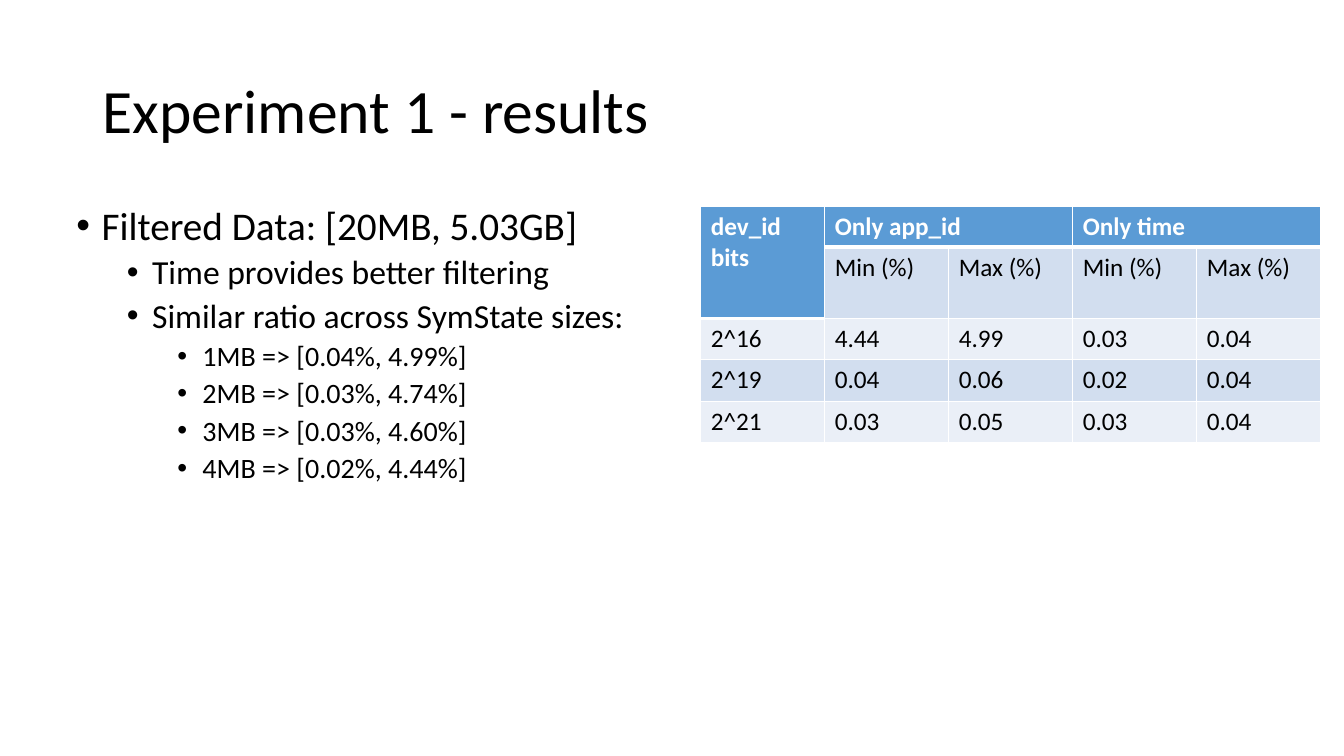
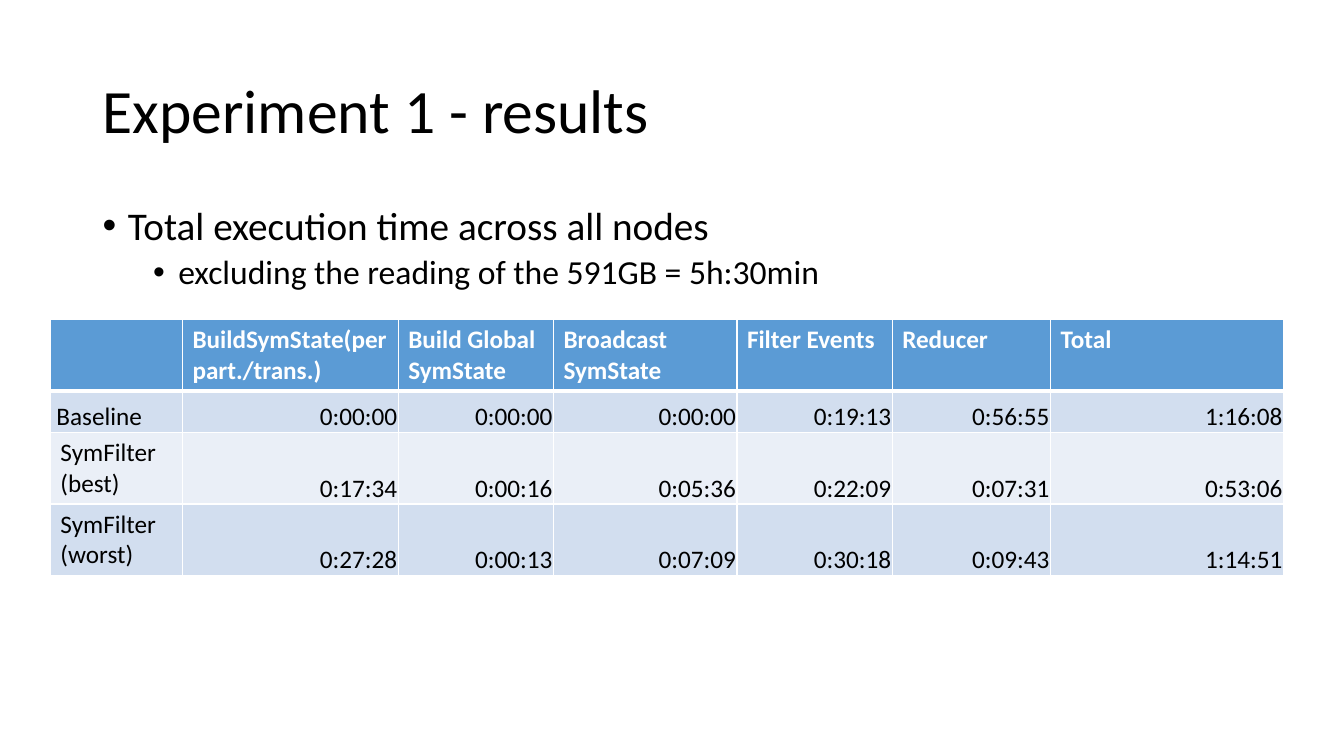
from lxml import etree
from pptx import Presentation
from pptx.dml.color import RGBColor
from pptx.enum.text import MSO_ANCHOR, PP_ALIGN
from pptx.oxml.ns import qn
from pptx.util import Inches, Pt

MIDDLE, BOTTOM = MSO_ANCHOR.MIDDLE, MSO_ANCHOR.BOTTOM
RIGHT = PP_ALIGN.RIGHT

FONT = "Calibri"
COLORS = {"text": "000000", "white": "FFFFFF", "head": "5B9BD5",
          "dark": "D2DEEF", "light": "EAEFF7"}
SIZES = (28, 24, 20)  # points, by bullet level
TITLE_BOX = (0.92, 0.4, 11.5, 1.45)
TITLE = "Experiment 1 - results"

# None marks a cell that a merged header covers.
SLIDES = [
    {
        "body_box": (0.66, 2, 5.89, 4.61),
        "body": [
            (0, "Filtered Data: [20MB, 5.03GB]"),
            (1, "Time provides better filtering"),
            (1, "Similar ratio across SymState sizes:"),
            (2, "1MB => [0.04%, 4.99%]"),
            (2, "2MB => [0.03%, 4.74%]"),
            (2, "3MB => [0.03%, 4.60%]"),
            (2, "4MB => [0.02%, 4.44%]"),
        ],
        "table_at": (6.95, 2.05),
        "cols": [1.23] * 5,
        "rows": [0.4, 0.71, 0.41, 0.41, 0.41],
        "cells": [
            ("dev_id bits", "Only app_id", None, "Only time", None),
            (None, "Min (%)", "Max (%)", "Min (%)", "Max (%)"),
            ("2^16", "4.44", "4.99", "0.03", "0.04"),
            ("2^19", "0.04", "0.06", "0.02", "0.04"),
            ("2^21", "0.03", "0.05", "0.03", "0.04"),
        ],
        "spans": [((0, 0), (1, 0)), ((0, 1), (0, 2)), ((0, 3), (0, 4))],
        "times": False,
    },
    {
        "body_box": (0.92, 2, 11.5, 1.1),
        "body": [
            (0, "Total execution time across all nodes"),
            (1, "excluding the reading of the 591GB = 5h:30min"),
        ],
        "table_at": (0.5, 3.17),
        "cols": [1.31, 2.14, 1.54, 1.82, 1.54, 1.57, 2.31],
        "rows": [0.71, 0.41, 0.71, 0.71],
        "cells": [
            ("", "BuildSymState(per part./trans.)", "Build Global SymState",
             "Broadcast SymState", "Filter Events", "Reducer", "Total"),
            ("Baseline", "0:00:00", "0:00:00", "0:00:00", "0:19:13",
             "0:56:55", "1:16:08"),
            ("SymFilter (best)", "0:17:34", "0:00:16", "0:05:36", "0:22:09",
             "0:07:31", "0:53:06"),
            ("SymFilter (worst)", "0:27:28", "0:00:13", "0:07:09", "0:30:18",
             "0:09:43", "1:14:51"),
        ],
        "spans": [],
        "times": True,
    },
]


def style(para, size, color="text", bold=False):
    """Format every run of a paragraph."""
    for run in para.runs:
        font = run.font
        font.name, font.size, font.bold = FONT, Pt(size), bold
        font.color.rgb = RGBColor.from_string(COLORS[color])


def add_box(slide, box):
    """Add a wrapping text box and return its text frame."""
    frame = slide.shapes.add_textbox(*map(Inches, box)).text_frame
    frame.word_wrap = True
    return frame


def add_title(slide):
    """Add the shared title."""
    frame = add_box(slide, TITLE_BOX)
    frame.vertical_anchor = MIDDLE
    frame.text = TITLE
    para = frame.paragraphs[0]
    para.line_spacing = 0.9
    style(para, 44)


def add_body(slide, box, items):
    """Add bullets indented by level."""
    frame = add_box(slide, box)
    frame.text = "\n".join(text for _, text in items)
    for para, (level, _) in zip(frame.paragraphs, items):
        para.level = level
        para.line_spacing = 0.9
        para.space_before = Pt(5 if level else 10)
        props = para._p.get_or_add_pPr()
        props.set("marL", str(Inches(0.25 + 0.5 * level)))
        props.set("indent", str(Inches(-0.25)))
        etree.SubElement(props, qn("a:buFont"), typeface="Arial")
        etree.SubElement(props, qn("a:buChar"), char="\u2022")
        style(para, SIZES[level])


def set_edges(cell, edges):
    """Draw white cell edges; edges maps a side to its width in points."""
    props = cell._tc.get_or_add_tcPr()
    for spot, side in enumerate(s for s in "LRTB" if s in edges):
        line = etree.Element(qn("a:ln" + side), w=str(Pt(edges[side])))
        fill = etree.SubElement(line, qn("a:solidFill"))
        etree.SubElement(fill, qn("a:srgbClr"), val=COLORS["white"])
        props.insert(spot, line)


def fill_cell(cell, text, row, col, times):
    """Set the text, fill and edges of one cell."""
    head = row == 0 or text is None
    band = "head" if head else "dark" if row % 2 else "light"
    cell.fill.solid()
    cell.fill.fore_color.rgb = RGBColor.from_string(COLORS[band])
    edges = {"R": 1, "B": 3 if head else 1}
    if row == 0:
        edges["T"] = 1
    if col == 0:
        edges["L"] = 1
    set_edges(cell, edges)
    if not text:
        return
    cell.text = text
    para = cell.text_frame.paragraphs[0]
    style(para, 18, "white" if head else "text", head)
    if times and row and (col or row == 1):
        cell.vertical_anchor = BOTTOM
        cell.margin_left = Inches(0.01 if col else 0.06)
        cell.margin_right = cell.margin_top = Inches(0.01)
        cell.margin_bottom = 0
        if col:
            para.alignment = RIGHT


def add_grid(slide, data):
    """Add the result table with its merged headers."""
    cols, rows = data["cols"], data["rows"]
    box = (*data["table_at"], sum(cols), sum(rows))
    table = slide.shapes.add_table(
        len(rows), len(cols), *map(Inches, box)).table
    for col, width in zip(table.columns, cols):
        col.width = Inches(width)
    for row, height in zip(table.rows, rows):
        row.height = Inches(height)
    for r, line in enumerate(data["cells"]):
        for c, text in enumerate(line):
            fill_cell(table.cell(r, c), text, r, c, data["times"])
    for first, last in data["spans"]:
        table.cell(*first).merge(table.cell(*last))


def main():
    """Build and save the slides."""
    deck = Presentation()
    deck.slide_width, deck.slide_height = Inches(13.33), Inches(7.5)
    for data in SLIDES:
        slide = deck.slides.add_slide(deck.slide_layouts[6])
        add_title(slide)
        add_body(slide, data["body_box"], data["body"])
        add_grid(slide, data)
    deck.save("out.pptx")


main()
